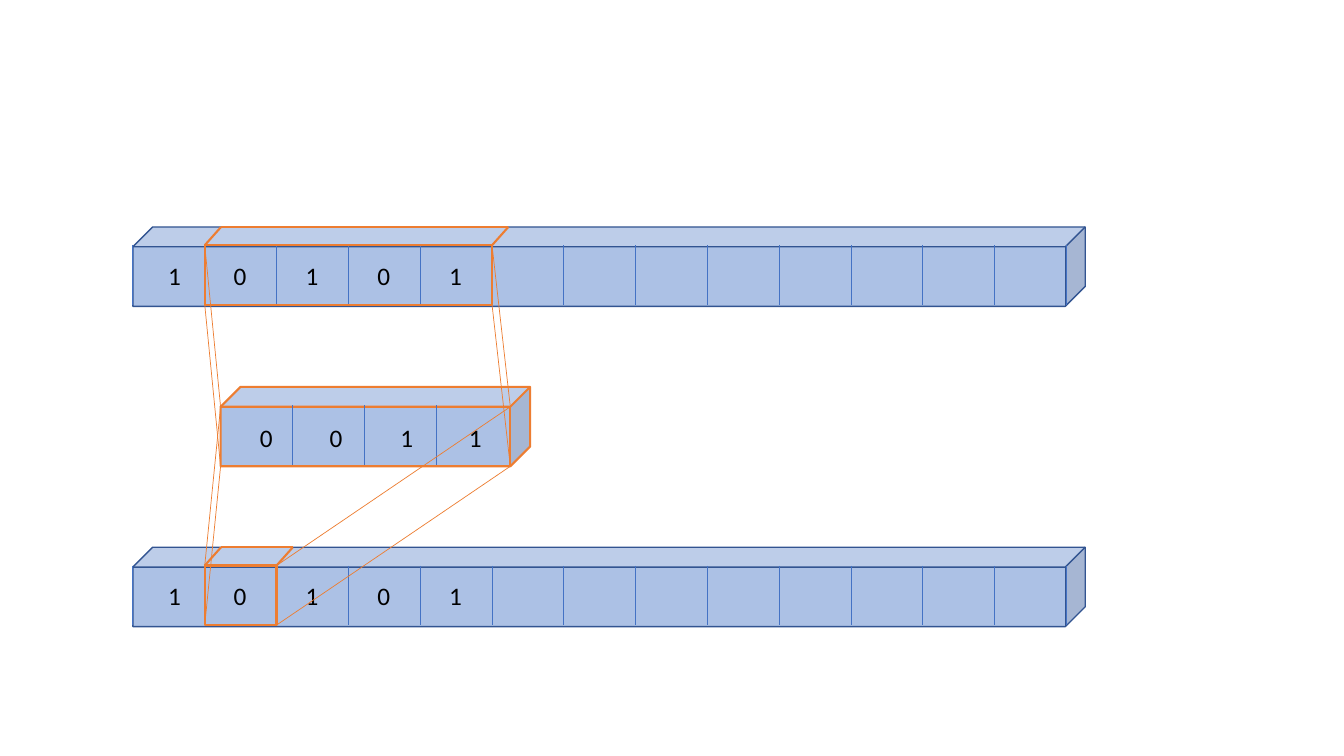
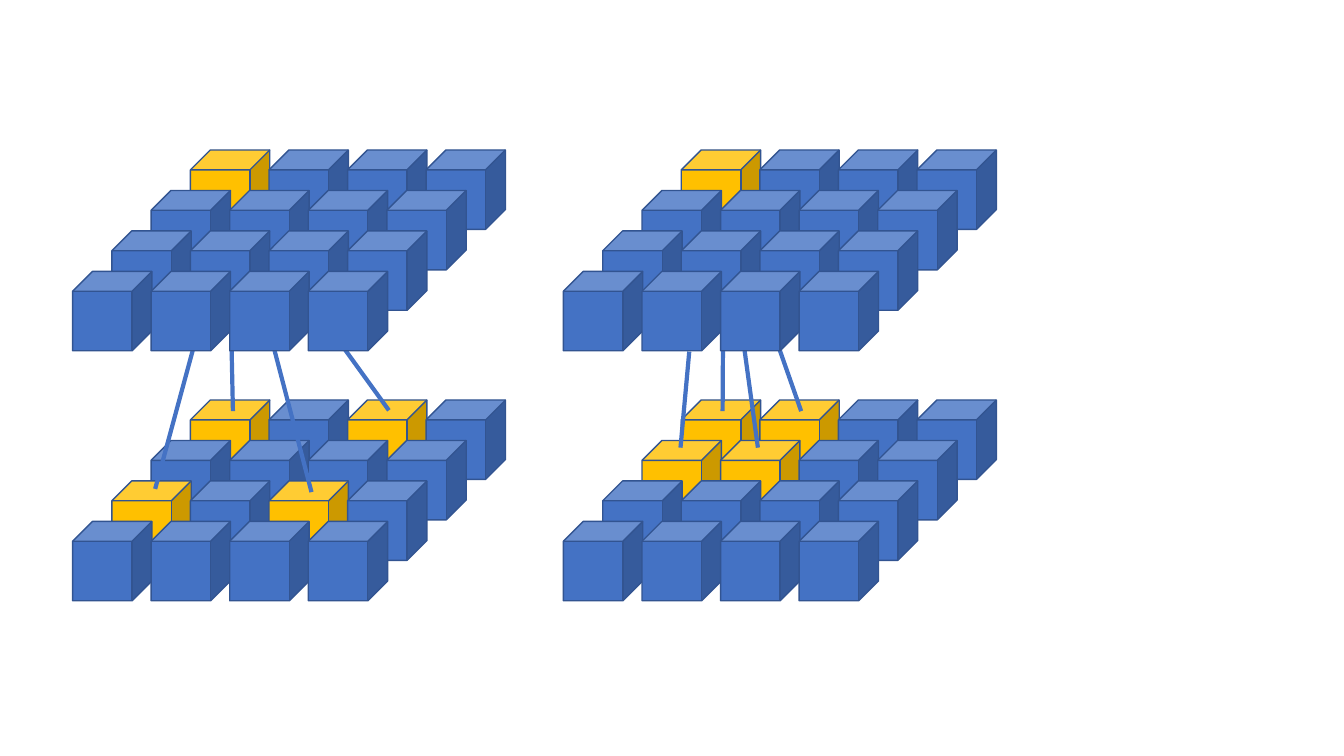
from dataclasses import dataclass

from lxml import etree
from pptx import Presentation
from pptx import util as u
from pptx.dml.color import RGBColor
from pptx.enum import shapes, text
from pptx.oxml import ns


@dataclass(frozen=True)
class Theme:
    blue: RGBColor = RGBColor.from_string("4472C4")
    outline: RGBColor = RGBColor.from_string("325491")
    orange: RGBColor = RGBColor.from_string("ED7D31")
    gold: RGBColor = RGBColor.from_string("FFC000")
    ink: RGBColor = RGBColor.from_string("000000")
    font: str = "Calibri"
    digit_size: int = 18
    thin: float = 0.5
    divider: float = 0.75
    edge: float = 1
    accent: float = 1.5
    link: float = 3


@dataclass(frozen=True)
class Area:
    left: float
    top: float
    width: float
    height: float

    def corners(self):
        right, bottom = self.left + self.width, self.top + self.height
        return [(x, y) for y in (self.top, bottom) for x in (self.left, right)]

    def placement(self):
        return [u.Cm(value) for value in (self.left, self.top, self.width, self.height)]


THEME = Theme()
CUBE = 2.0
DEPTH = 0.5
CELL = 1.81
FACE_TOP = 0.46
FACE_HEIGHT = 1.5
ROW_SHIFT = -0.99
ROW_DROP = 1.02
COLUMN_STEP = 1.98
GRID_SIZE = 4
UPPER_TOP = 3.78
LOWER_TOP = 10.08


def add_line(page, start, end, colour, width):
    points = [u.Cm(value) for value in (*start, *end)]
    line = page.shapes.add_connector(shapes.MSO_CONNECTOR.STRAIGHT, *points)
    line.line.color.rgb = colour
    line.line.width = u.Pt(width)
    etree.SubElement(line._element.spPr, ns.qn("a:effectLst"))


def add_block(page, kind, area, fill, outline, width, opacity=100):
    block = page.shapes.add_shape(kind, *area.placement())
    block.shadow.inherit = False
    block.line.color.rgb = outline
    block.line.width = u.Pt(width)
    if fill is None:
        block.fill.background()
        return
    block.fill.solid()
    block.fill.fore_color.rgb = fill
    if opacity < 100:
        colour = block._element.spPr.find(f".//{ns.qn('a:srgbClr')}")
        etree.SubElement(colour, ns.qn("a:alpha"), val=str(opacity * 1000))


def add_cube(page, area, fill, outline, width, opacity=100):
    add_block(page, shapes.MSO_SHAPE.CUBE, area, fill, outline, width, opacity)


def add_digit(page, digit, left, top):
    box = page.shapes.add_textbox(*Area(left, top, 0.84, 1.02).placement())
    box.text_frame.word_wrap = False
    box.text_frame.auto_size = text.MSO_AUTO_SIZE.SHAPE_TO_FIT_TEXT
    para = box.text_frame.paragraphs[0]
    para.text = digit
    para.font.name = THEME.font
    para.font.size = u.Pt(THEME.digit_size)
    para.font.color.rgb = THEME.ink


def add_strip(page, area, outline, width, dividers, digits, insets, digit_drop):
    add_cube(page, area, THEME.blue, outline, width, opacity=44)
    face_top = area.top + FACE_TOP
    for index in dividers:
        x = area.left + index * CELL
        add_line(page, (x, face_top), (x, face_top + FACE_HEIGHT), THEME.blue, THEME.divider)
    for index, (digit, inset) in enumerate(zip(digits, insets)):
        add_digit(page, digit, area.left + index * CELL + inset, area.top + digit_drop)


def add_window(page, strip, cells):
    window = Area(strip.left + CELL, strip.top + FACE_TOP, cells * CELL, FACE_HEIGHT)
    add_block(page, shapes.MSO_SHAPE.RECTANGLE, window, None, THEME.orange, THEME.accent)
    front = window.corners()[:2]
    back = [(x + 0.41, strip.top) for x, _ in front]
    for start, end in (*zip(front, back), back):
        add_line(page, start, end, THEME.orange, THEME.accent)
    return window


def add_rays(page, source, target):
    for start, end in zip(source.corners(), target.corners()):
        add_line(page, start, end, THEME.orange, THEME.thin)


def add_grid(page, left, top, marked):
    for row in range(GRID_SIZE):
        for column in range(GRID_SIZE):
            x = left + column * COLUMN_STEP + row * ROW_SHIFT
            fill = THEME.gold if (row, column) in marked else THEME.blue
            area = Area(x, top + row * ROW_DROP, CUBE, CUBE)
            add_cube(page, area, fill, THEME.outline, THEME.edge)


def add_layers(page, left, marked, links):
    add_grid(page, left, LOWER_TOP, marked)
    for start, end in links:
        add_line(page, start, end, THEME.blue, THEME.link)
    add_grid(page, left, UPPER_TOP, {(0, 0)})


def build_sequence_page(page):
    signal = Area(3.35, 5.72, 24, CUBE)
    kernel = Area(5.56, 9.75, 7.8, CUBE)
    result = Area(3.35, 13.79, 24, CUBE)
    for strip in (signal, result):
        add_strip(page, strip, THEME.outline, THEME.edge, range(14),
                  "10101", (0.64, 0.48, 0.48, 0.48, 0.48), 0.71)
    add_strip(page, kernel, THEME.orange, THEME.accent, range(1, 4),
              "0011", (0.74, 0.69, 0.66, 0.58), 0.76)
    signal_window = add_window(page, signal, 4)
    result_window = add_window(page, result, 1)
    kernel_face = Area(kernel.left, kernel.top + DEPTH, kernel.width - DEPTH, FACE_HEIGHT)
    add_rays(page, signal_window, kernel_face)
    add_rays(page, result_window, kernel_face)


def build_grid_page(page):
    add_layers(page, 17.17, {(0, 0), (0, 1), (1, 0), (1, 1)}, [
        ((17.37, 8.86), (17.15, 11.28)),
        ((18.24, 5), (19.1, 11.28)),
        ((18.31, 5), (20.19, 10.36)),
        ((18.24, 5.28), (18.21, 10.36)),
    ])
    add_layers(page, 4.8, {(0, 0), (0, 2), (2, 0), (2, 2)}, [
        ((5.82, 5.28), (3.91, 12.32)),
        ((5.94, 5.08), (7.85, 12.4)),
        ((6.02, 5.11), (9.8, 10.34)),
        ((5.77, 5.61), (5.87, 10.36)),
    ])


def main():
    deck = Presentation()
    deck.slide_width, deck.slide_height = u.Cm(33.87), u.Cm(19.05)
    for build in (build_sequence_page, build_grid_page):
        build(deck.slides.add_slide(deck.slide_layouts[6]))
    deck.save("out.pptx")


if __name__ == "__main__":
    main()
